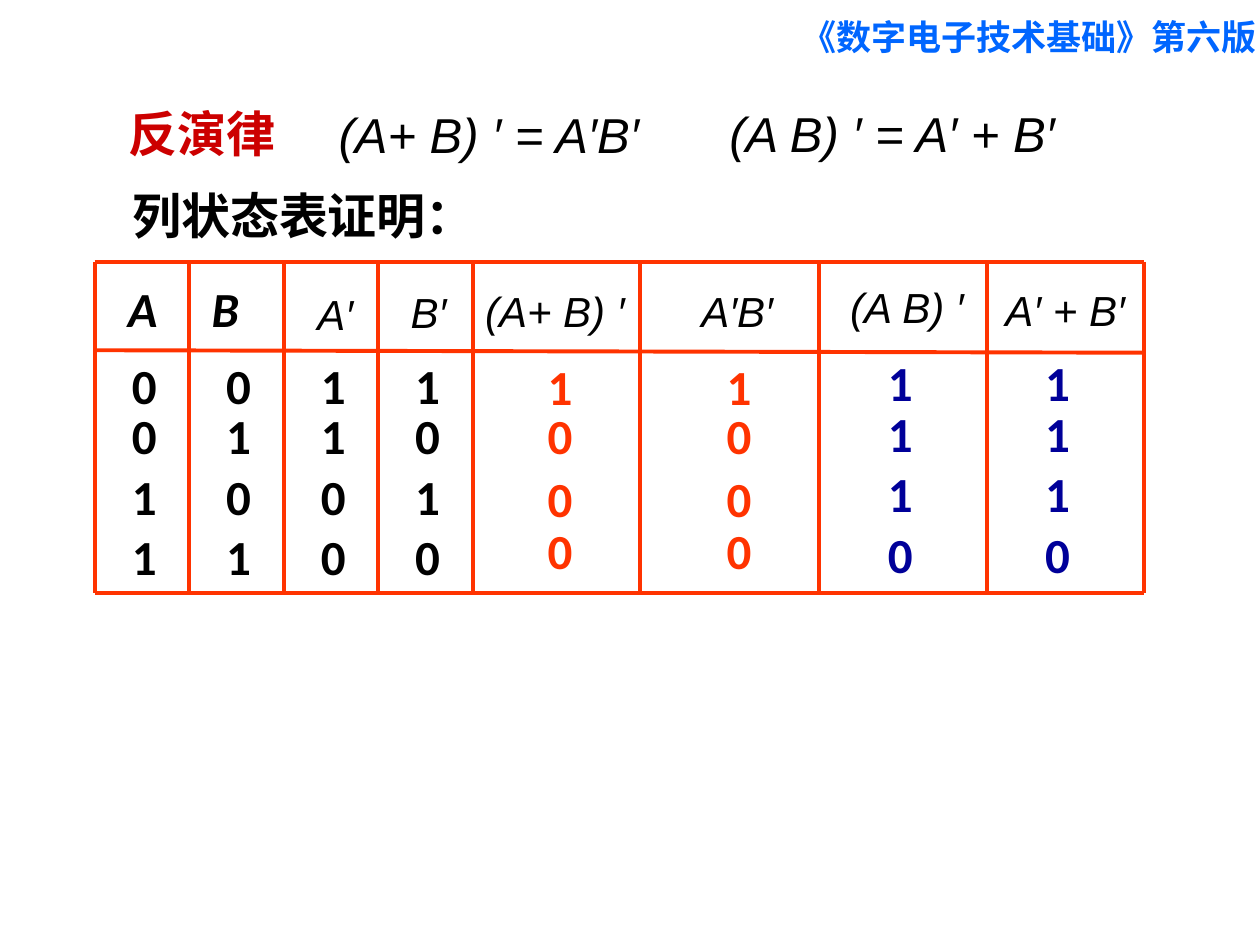
from lxml import etree
from pptx import Presentation
from pptx import util as u
from pptx.dml.color import RGBColor
from pptx.enum import shapes, text
from pptx.oxml.ns import qn

BLACK, RED, BLUE = "000000", "FF3300", "000099"
LEFT, CENTER = text.PP_ALIGN.LEFT, text.PP_ALIGN.CENTER


def color(value):
    return RGBColor.from_string(value)


def add_text(content, left, top, width, height, size=28, name="Calibri",
             fill=BLACK, bold=False, italic=False, align=LEFT, wrap=True):
    """Add a one-paragraph text box; lengths are in centimetres."""
    box = page.shapes.add_textbox(u.Cm(left), u.Cm(top), u.Cm(width), u.Cm(height))
    frame = box.text_frame
    frame.word_wrap = wrap
    frame.auto_size = text.MSO_AUTO_SIZE.SHAPE_TO_FIT_TEXT
    para = frame.paragraphs[0]
    para.text = content
    para.alignment = align
    font = para.font
    font.name, font.size, font.bold, font.italic = name, u.Pt(size), bold, italic
    font.color.rgb = color(fill)


deck = Presentation()
deck.slide_width, deck.slide_height = u.Cm(25.4), u.Cm(19.05)
page = deck.slides.add_slide(deck.slide_layouts[6])

# Headings and the two laws
add_text("《数字电子技术基础》第六版", 15.9, 0.18, 10.31, 1.12, 20, "Arial", "0066FF", bold=True)
add_text("反演律", 2.34, 1.96, 3.81, 1.45, fill="CC0000", bold=True)
add_text("列状态表证明：", 2.41, 3.61, 7.42, 1.45, bold=True, align=CENTER, wrap=False)
add_text("(A+ B) ′ = A′B′", 6.35, 1.98, 7.01, 1.45, name="Arial", italic=True, align=CENTER)
add_text("(A B) ′ = A′ + B′", 12.09, 1.96, 11.79, 1.45, name="Arial", italic=True, align=CENTER)

# Grid of the truth table
edges = [1.91, 3.81, 5.72, 7.62, 9.53, 12.9, 16.51, 19.89, 23.06]
top, bottom = 5.28, 11.96
rules = [(edges[0], start, edges[-1], end)
         for start, end in [(top, top), (7.06, 7.11), (bottom, bottom)]]
rules += [(x, top, x, bottom) for x in edges]
for x1, y1, x2, y2 in rules:
    line = page.shapes.add_connector(
        shapes.MSO_CONNECTOR.STRAIGHT, u.Cm(x1), u.Cm(y1), u.Cm(x2), u.Cm(y2))
    line.line.color.rgb = color(RED)
    line.line.width = u.Pt(2.25)
    etree.SubElement(line._element.spPr, qn("a:effectLst"))

# Column headers
for variable, left, width in [("A", 2.26, 1.24), ("B", 3.96, 1.17)]:
    add_text(variable, left, 5.49, width, 1.45, bold=True, italic=True, align=CENTER, wrap=False)
for formula, left, y, width in [
    ("A′", 6.15, 5.69, 1.42),
    ("B′", 8.03, 5.66, 1.32),
    ("(A+ B) ′", 9.53, 5.64, 3.45),
    ("A′B′", 13.89, 5.64, 2.29),
    ("(A B) ′", 16.89, 5.56, 2.9),
    ("A′ + B′", 20.02, 5.61, 4.7),
]:
    add_text(formula, left, y, width, 1.27, 24, "Arial", italic=True)

# Truth values: each colour group has its own row positions
row_tops = {
    BLACK: [7.04, 8.05, 9.27, 10.49],
    RED: [7.06, 8.05, 9.32, 10.36],
    BLUE: [6.99, 8.0, 9.22, 10.44],
}
digit_width = 1.04
for middle, values, fill in [
    (2.91, "0011", BLACK),
    (4.81, "0101", BLACK),
    (6.72, "1100", BLACK),
    (8.62, "1010", BLACK),
    (11.29, "1000", RED),
    (14.9, "1000", RED),
    (18.15, "1110", BLUE),
    (21.32, "1110", BLUE),
]:
    for value, y in zip(values, row_tops[fill]):
        add_text(value, middle - digit_width / 2, y, digit_width, 1.45,
                 fill=fill, bold=True, align=CENTER, wrap=False)

deck.save("out.pptx")
